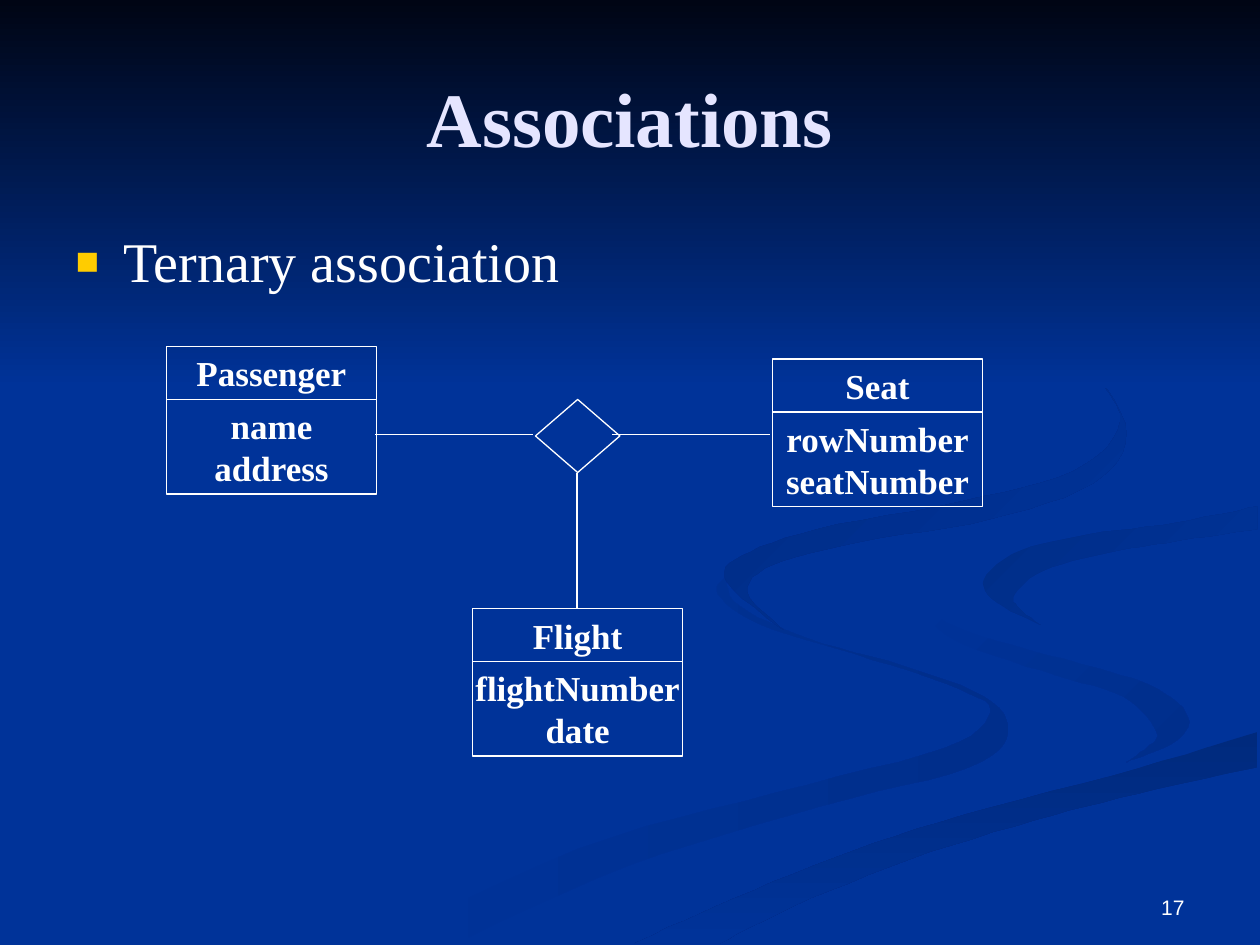
from dataclasses import dataclass

from lxml.etree import SubElement
from pptx import Presentation
from pptx.dml.color import RGBColor as Rgb
from pptx.enum.shapes import MSO_CONNECTOR as Connector, MSO_SHAPE as Preset
from pptx.enum.text import MSO_ANCHOR as Anchor, MSO_AUTO_SIZE as AutoSize, PP_ALIGN as Align
from pptx.oxml.ns import qn
from pptx.util import Inches, Pt

COLORS = {
    "blue": "003399", "night": "000514", "title": "E5E5FF", "white": "FFFFFF",
    "bullet": "FFCC00", "lower": "002E8B", "streak": "002A7D",
    "bend": "002D86", "upper": "002B82",
}
SERIF = "Times New Roman"
TITLE = {"name": SERIF, "size": Pt(44), "bold": True}
BODY = {"name": SERIF, "size": Pt(32), "bold": False}
LABEL = {"name": SERIF, "size": Pt(20), "bold": True}
NUMBER = {"name": "Arial", "size": Pt(12)}
LINE_WIDTH = Pt(0.75)
HANGING = Inches(0.38)
BOX_WIDTH, HEAD_HEIGHT, FIELDS_HEIGHT = 1.67, 0.42, 0.75
CURVE_STEPS = 6
UNITS_PER_INCH = 100

CLASSES = [
    (1.32, 2.75, "Passenger", ["name", "address"]),
    (6.13, 2.85, "Seat", ["rowNumber", "seatNumber"]),
    (3.75, 4.83, "Flight", ["flightNumber", "date"]),
]
LINKS = {
    "passenger": (4.23, 3.45, 2.98, 3.45),
    "seat": (6.11, 3.45, 4.86, 3.45),
    "flight": (4.58, 4.83, 4.58, 3.75),
}


@dataclass
class Ribbon:
    colors: tuple
    angle: int
    outer: list
    inner: list


RIBBONS = {
    "lower bend": Ribbon(
        ("blue", "lower"), 0,
        [(5.75, 4.59), (5.87, 4.81), (6.42, 5.07), (7.15, 5.28), (7.81, 5.53),
         (8, 5.81), (7.69, 6.09), (6.51, 6.4), (4.99, 6.87), (3.61, 7.49)],
        [(5.75, 4.59), (5.7, 4.72), (6.02, 4.95), (6.79, 5.19), (7.62, 5.47),
         (7.86, 5.66), (7.49, 5.94), (6.16, 6.29), (4.58, 6.74), (3, 7.49)]),
    "right hook": Ribbon(
        ("blue", "lower"), 45,
        [(7.24, 4.64), (7.45, 4.9), (7.92, 5.09), (8.7, 5.3), (9.19, 5.47),
         (9.43, 5.7), (9.32, 5.89), (8.94, 6.05)],
        [(7.24, 4.64), (7.33, 4.88), (7.66, 5.12), (8.38, 5.36), (8.92, 5.53),
         (9.18, 5.81), (9.11, 5.93), (8.94, 6.05)]),
    "streak": Ribbon(
        ("streak", "blue"), 90,
        [(5.03, 7.49), (5.69, 7.19), (6.62, 6.81), (7.64, 6.47), (9.03, 6.1), (9.98, 5.81)],
        [(5.71, 7.49), (6.3, 7.19), (7.22, 6.82), (8.21, 6.51), (9.03, 6.3), (9.98, 6.09)]),
    "right bend": Ribbon(
        ("bend", "blue"), 45,
        [(8.26, 4.96), (7.91, 4.78), (7.81, 4.6), (8.1, 4.37), (8.65, 4.24),
         (9.33, 4.15), (9.98, 4.02)],
        [(8.26, 4.96), (8.09, 4.83), (8.05, 4.72), (8.28, 4.53), (8.78, 4.39),
         (9.36, 4.29), (9.98, 4.2)]),
    "upper bend": Ribbon(
        ("upper", "blue"), 45,
        [(7.62, 2.33), (8.1, 2.56), (8.64, 2.91), (8.94, 3.44), (8.67, 3.84),
         (7.86, 4.12), (6.83, 4.3), (6.14, 4.48), (5.93, 4.7), (6.22, 5)],
        [(7.62, 2.33), (8.05, 2.54), (8.62, 2.92), (8.89, 3.35), (8.52, 3.74),
         (7.63, 3.98), (6.49, 4.2), (5.89, 4.41), (5.77, 4.62), (6.22, 5)]),
}


def rgb(color):
    return Rgb.from_string(COLORS[color])


def area(left, top, width, height):
    return [Inches(value) for value in (left, top, width, height)]


def place(box, left, top, width, height):
    box.left, box.top, box.width, box.height = area(left, top, width, height)


def write(box, lines, font, color, align, anchor, wrap=True):
    frame = box.text_frame
    layout = {"word_wrap": wrap, "auto_size": AutoSize.NONE, "vertical_anchor": anchor}
    for name, value in layout.items():
        setattr(frame, name, value)
    for index, line in enumerate(lines):
        para = frame.add_paragraph() if index else frame.paragraphs[0]
        para.alignment = align
        span = para.add_run()
        span.text = line
        for name, value in font.items():
            setattr(span.font, name, value)
        span.font.color.rgb = rgb(color)


def add_bullet(para):
    para.space_before = Pt(0)
    props = para._p.get_or_add_pPr()
    props.set("marL", str(HANGING))
    props.set("indent", str(-HANGING))
    tint = SubElement(props, qn("a:buClr"))
    SubElement(tint, qn("a:srgbClr"), val=COLORS["bullet"])
    SubElement(props, qn("a:buSzPct"), val="70000")
    SubElement(props, qn("a:buFont"), typeface="Arial")
    SubElement(props, qn("a:buChar"), char="■")


def spline(before, start, end, after, t):
    return (2 * start + (end - before) * t
            + (2 * before - 5 * start + 4 * end - after) * t ** 2
            + (3 * start - before - 3 * end + after) * t ** 3) / 2


def smooth(knots):
    padded = [knots[0], *knots, knots[-1]]
    curve = []
    for window in zip(padded, padded[1:], padded[2:], padded[3:]):
        for step in range(CURVE_STEPS):
            curve.append(tuple(spline(*axis, step / CURVE_STEPS) for axis in zip(*window)))
    return curve + [knots[-1]]


def shade(shape, colors, angle):
    shape.shadow.inherit = False
    shape.line.fill.background()
    shape.fill.gradient()
    shape.fill.gradient_angle = -angle % 360
    for stop, color in zip(shape.fill.gradient_stops, colors):
        stop.color.rgb = rgb(color)


def add_ribbon(group, ribbon):
    outline = smooth(ribbon.outer) + smooth(ribbon.inner)[::-1]
    points = [(round(x * UNITS_PER_INCH), round(y * UNITS_PER_INCH)) for x, y in outline]
    builder = group.shapes.build_freeform(*points[0], scale=Inches(1 / UNITS_PER_INCH))
    builder.add_line_segments(points[1:], close=True)
    shade(builder.convert_to_shape(), ribbon.colors, ribbon.angle)


def add_backdrop(page):
    page.background.fill.solid()
    page.background.fill.fore_color.rgb = rgb("blue")
    group = page.shapes.add_group_shape()
    for ribbon in RIBBONS.values():
        add_ribbon(group, ribbon)
    sky = group.shapes.add_shape(Preset.RECTANGLE, *area(0, 0, 10, 3.08))
    shade(sky, ("night", "blue"), 90)
    page.shapes._spTree.insert(2, group._element)


def add_outline(parent, preset, left, top, width, height):
    shape = parent.shapes.add_shape(preset, *area(left, top, width, height))
    shape.shadow.inherit = False
    shape.fill.background()
    shape.line.color.rgb = rgb("white")
    shape.line.width = LINE_WIDTH
    return shape


def add_class(page, left, top, name, fields):
    group = page.shapes.add_group_shape()
    rows = [(top, HEAD_HEIGHT, [name]), (top + HEAD_HEIGHT, FIELDS_HEIGHT, fields)]
    for row_top, height, lines in rows:
        box = add_outline(group, Preset.RECTANGLE, left, row_top, BOX_WIDTH, height)
        write(box, lines, LABEL, "white", Align.CENTER, Anchor.MIDDLE, wrap=False)


def add_link(page, ends):
    link = page.shapes.add_connector(Connector.STRAIGHT, *area(*ends))
    link.line.color.rgb = rgb("white")
    link.line.width = LINE_WIDTH
    SubElement(link._element.spPr, qn("a:effectLst"))


def main():
    deck = Presentation()
    deck.slide_width, deck.slide_height = Inches(10), Inches(7.5)
    page = deck.slides.add_slide(deck.slide_layouts[1])
    add_backdrop(page)

    title, body = page.placeholders
    place(title, 0.5, 0.3, 9, 1.25)
    write(title, ["Associations"], TITLE, "title", Align.CENTER, Anchor.MIDDLE)
    place(body, 0.5, 1.75, 9, 4.95)
    add_bullet(body.text_frame.paragraphs[0])
    write(body, ["Ternary association"], BODY, "white", Align.LEFT, Anchor.TOP)

    for item in CLASSES:
        add_class(page, *item)
    add_outline(page, Preset.DIAMOND, 4.25, 3.17, 0.67, 0.58)
    for ends in LINKS.values():
        add_link(page, ends)

    number = page.shapes.add_textbox(*area(7.17, 6.83, 2.33, 0.52))
    write(number, ["17"], NUMBER, "white", Align.RIGHT, Anchor.BOTTOM)
    deck.save("out.pptx")


if __name__ == "__main__":
    main()
